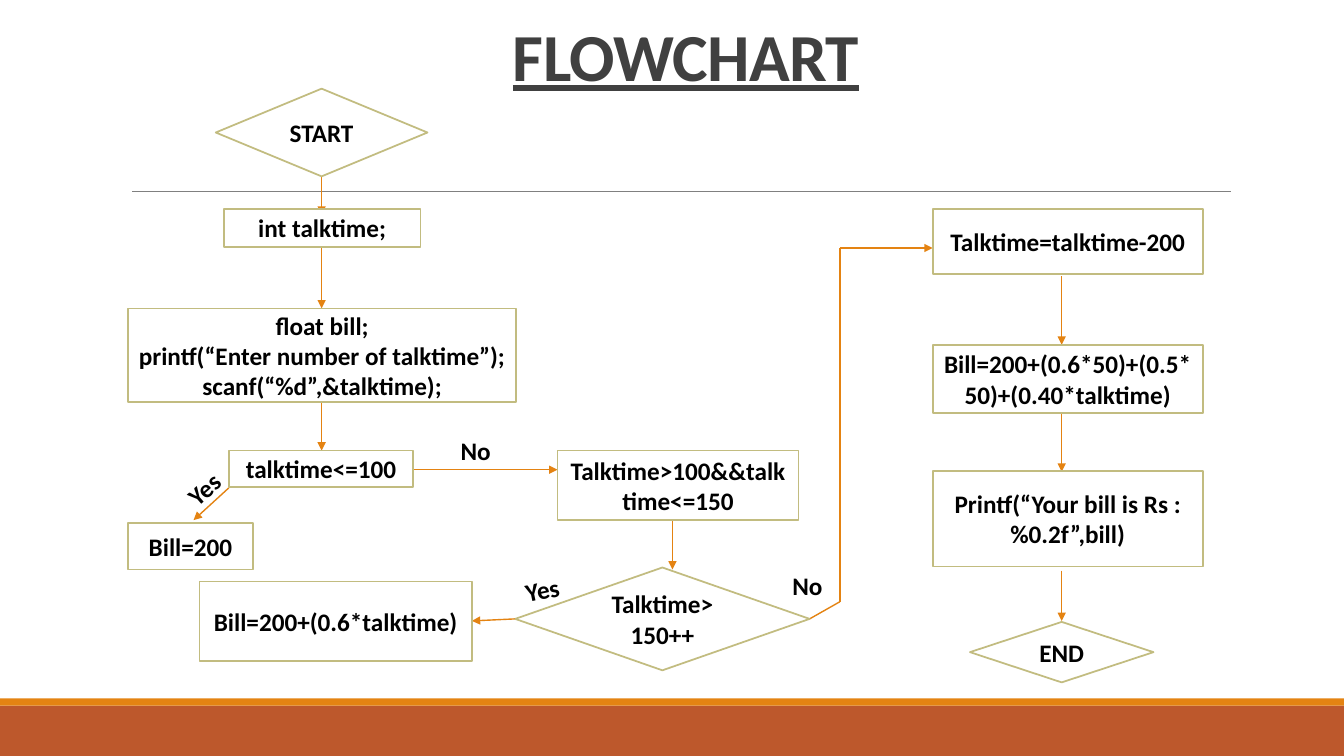
from dataclasses import dataclass

import lxml.etree
import pptx
import pptx.dml.color
import pptx.enum.shapes
import pptx.enum.text
import pptx.oxml.ns
import pptx.util

Inches = pptx.util.Inches
Pt = pptx.util.Pt
RGB = pptx.dml.color.RGBColor.from_string
Shape = pptx.enum.shapes.MSO_SHAPE
Align = pptx.enum.text.PP_ALIGN
Anchor = pptx.enum.text.MSO_ANCHOR
qn = pptx.oxml.ns.qn


@dataclass(frozen=True)
class Theme:
    font: str = "Calibri"
    title_size: float = 48
    text_size: float = 18
    title: str = "404040"
    text: str = "000000"
    box_fill: str = "FFFFFF"
    box_line: str = "C2BC80"
    accent: str = "E48312"
    footer: str = "BD582C"
    rule: str = "808080"


THEME = Theme()

# text, left, top, width, height
STEPS = [
    ("int talktime;", 2.22, 2.07, 1.95, 0.38),
    ("float bill;\nprintf(“Enter number of talktime”);\nscanf(“%d”,&talktime);",
     1.27, 3.06, 3.85, 0.93),
    ("talktime<=100", 2.27, 4.47, 1.83, 0.36),
    ("Bill=200", 1.27, 5.19, 1.24, 0.46),
    ("Talktime>100&&talktime<=150", 5.53, 4.47, 2.39, 0.69),
    ("Bill=200+(0.6*talktime)", 1.98, 5.77, 2.7, 0.79),
    ("Talktime=talktime-200", 9.25, 2.07, 2.68, 0.65),
    ("Bill=200+(0.6*50)+(0.5*50)+(0.40*talktime)", 9.25, 3.42, 2.68, 0.68),
    ("Printf(“Your bill is Rs : %0.2f”,bill)", 9.25, 4.67, 2.68, 0.95),
]
DECISIONS = [
    ("START", 2.14, 0.88, 2.1, 0.87),
    ("Talktime>\n150++", 5.11, 5.63, 2.92, 1.02),
    ("END", 9.62, 6.17, 1.82, 0.6),
]
# text, left, top, width, rotation
LABELS = [
    ("Yes", 1.73, 4.58, 0.74, 319),
    ("No", 4.47, 4.27, 0.87, 0),
    ("Yes", 5.11, 5.63, 0.74, 348.3),
    ("No", 7.76, 5.61, 0.74, 0),
]
# points along each route; the arrowhead is at the last one
ROUTES = [
    [(3.19, 1.75), (3.19, 2.13)],
    [(3.19, 2.46), (3.19, 3.06)],
    [(3.19, 4), (3.19, 4.47)],
    [(2.27, 4.84), (1.92, 5.16)],
    [(4.11, 4.66), (5.53, 4.66)],
    [(6.67, 5.16), (6.67, 5.65)],
    [(5.11, 6.14), (4.68, 6.16)],
    [(8.03, 6.14), (8.33, 5.97), (8.33, 2.46), (9.25, 2.46)],
    [(10.53, 2.74), (10.53, 3.42)],
    [(10.53, 4.09), (10.53, 4.68)],
    [(10.53, 5.66), (10.53, 6.16)],
]


def style_text(tf, size, color, align):
    for p in tf.paragraphs:
        p.alignment = align
        for r in p.runs:
            r.font.name = THEME.font
            r.font.size = Pt(size)
            r.font.bold = True
            r.font.color.rgb = RGB(color)


def add_title(slide, text):
    sp = slide.shapes.title
    sp.left, sp.top = Inches(1.27), Inches(-0.6)
    sp.width, sp.height = Inches(11.07), Inches(1.59)
    tf = sp.text_frame
    tf.text = text
    tf.auto_size = pptx.enum.text.MSO_AUTO_SIZE.NONE
    tf.vertical_anchor = Anchor.BOTTOM
    style_text(tf, THEME.title_size, THEME.title, Align.CENTER)
    p = tf.paragraphs[0]
    p.line_spacing = 0.85
    r = p.runs[0]
    r.font.underline = True
    r._r.get_or_add_rPr().set("spc", "-50")


def add_filled(slide, kind, left, top, width, height, fill):
    sp = slide.shapes.add_shape(
        kind, Inches(left), Inches(top), Inches(width), Inches(height))
    sp.shadow.inherit = False
    sp.fill.solid()
    sp.fill.fore_color.rgb = RGB(fill)
    sp.line.fill.background()
    return sp


def add_node(slide, kind, text, left, top, width, height):
    sp = add_filled(slide, kind, left, top, width, height, THEME.box_fill)
    sp.line.color.rgb = RGB(THEME.box_line)
    sp.line.width = Pt(1.25)
    tf = sp.text_frame
    tf.text = text
    tf.word_wrap = True
    tf.vertical_anchor = Anchor.MIDDLE
    style_text(tf, THEME.text_size, THEME.text, Align.CENTER)


def add_label(slide, text, left, top, width, rotation):
    sp = slide.shapes.add_textbox(
        Inches(left), Inches(top), Inches(width), Inches(0.4))
    sp.rotation = rotation
    tf = sp.text_frame
    tf.text = text
    tf.word_wrap = True
    style_text(tf, THEME.text_size, THEME.text, Align.LEFT)


def add_line(slide, start, end, color, width, arrow=False):
    cxn = slide.shapes.add_connector(
        pptx.enum.shapes.MSO_CONNECTOR.STRAIGHT,
        *(Inches(v) for v in (*start, *end)))
    cxn.line.color.rgb = RGB(color)
    cxn.line.width = Pt(width)
    sp_pr = cxn._element.find(qn("p:spPr"))
    if arrow:
        ln = sp_pr.find(qn("a:ln"))
        lxml.etree.SubElement(ln, qn("a:tailEnd"), type="triangle")
    lxml.etree.SubElement(sp_pr, qn("a:effectLst"))


def add_route(slide, points):
    """Join the points with lines, the last of which has an arrowhead."""
    for start, end in zip(points, points[1:]):
        add_line(slide, start, end, THEME.accent, 1, arrow=end == points[-1])


def main():
    prs = pptx.Presentation()
    prs.slide_width, prs.slide_height = Inches(13.33), Inches(7.5)
    slide = prs.slides.add_slide(prs.slide_layouts.get_by_name("Title Only"))

    add_filled(slide, Shape.RECTANGLE, 0, 7, 13.33, 0.5, THEME.footer)
    add_filled(slide, Shape.RECTANGLE, 0, 6.93, 13.33, 0.07, THEME.accent)
    add_line(slide, (1.31, 1.9), (12.21, 1.9), THEME.rule, 0.5)
    add_title(slide, "FLOWCHART")

    for points in ROUTES:
        add_route(slide, points)
    for step in STEPS:
        add_node(slide, Shape.RECTANGLE, *step)
    for decision in DECISIONS:
        add_node(slide, Shape.FLOWCHART_DECISION, *decision)
    for label in LABELS:
        add_label(slide, *label)

    prs.save("out.pptx")


if __name__ == "__main__":
    main()
